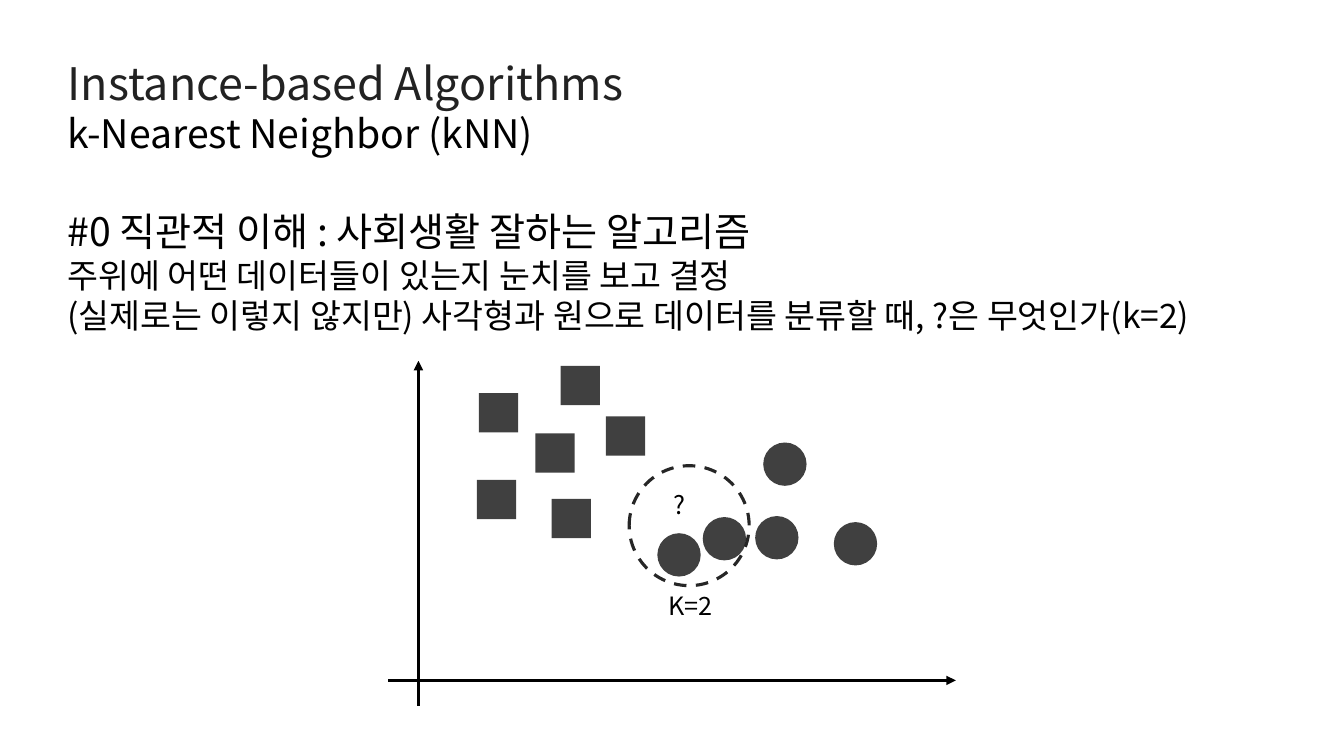
from typing import NamedTuple

import pptx
import pptx.dml.color
import pptx.enum.dml
import pptx.enum.shapes
import pptx.enum.text
import pptx.oxml
import pptx.oxml.ns
import pptx.util

FONT = "Noto Sans CJK KR"
COLORS = {"heading": "222222", "text": "000000", "axis": "000000",
          "sample": "404040", "neighborhood": "262626"}
SHAPES = pptx.enum.shapes.MSO_SHAPE
inches = pptx.util.Inches


class Line(NamedTuple):
    text: str
    size: int
    color: str = "text"


class Box(NamedTuple):
    left: float
    top: float
    width: float
    height: float


class Axis(NamedTuple):
    start: tuple[float, float]
    end: tuple[float, float]


class SampleClass(NamedTuple):
    outline: pptx.enum.shapes.MSO_SHAPE
    size: float
    corners: list[tuple[float, float]]


def rgb(role: str) -> pptx.dml.color.RGBColor:
    return pptx.dml.color.RGBColor.from_string(COLORS[role])


def write(holder, lines: list[Line], spacing: float = 1.0) -> None:
    frame = holder.text_frame
    frame.word_wrap = True
    frame.auto_size = pptx.enum.text.MSO_AUTO_SIZE.NONE
    frame.vertical_anchor = pptx.enum.text.MSO_ANCHOR.TOP
    frame.text = "\n".join(line.text for line in lines)
    for paragraph, line in zip(frame.paragraphs, lines):
        paragraph.alignment = pptx.enum.text.PP_ALIGN.LEFT
        paragraph.line_spacing = spacing
        paragraph.space_before = pptx.util.Pt(0)
        paragraph.font.name = FONT
        paragraph.font.size = pptx.util.Pt(line.size)
        paragraph.font.color.rgb = rgb(line.color)
        for run in paragraph.runs:
            east_asian = pptx.oxml.parse_xml(
                f'<a:ea {pptx.oxml.ns.nsdecls("a")} typeface="{FONT}"/>')
            run.font._element.append(east_asian)


def add_text(slide, box: Box, lines: list[Line], spacing: float = 1.0) -> None:
    write(slide.shapes.add_textbox(*map(inches, box)), lines, spacing)


def add_axis(slide, axis: Axis) -> None:
    arrow = slide.shapes.add_connector(
        pptx.enum.shapes.MSO_CONNECTOR.STRAIGHT, *map(inches, axis.start + axis.end))
    arrow.line.color.rgb = rgb("axis")
    arrow.line.width = pptx.util.Pt(2.25)
    namespace = pptx.oxml.ns.nsdecls("a")
    arrow.line._get_or_add_ln().append(
        pptx.oxml.parse_xml(f'<a:tailEnd {namespace} type="triangle"/>'))
    arrow._element.spPr.append(pptx.oxml.parse_xml(f"<a:effectLst {namespace}/>"))


def add_samples(slide, samples: SampleClass) -> None:
    for left, top in samples.corners:
        sample = slide.shapes.add_shape(
            samples.outline, *map(inches, (left, top, samples.size, samples.size)))
        sample.shadow.inherit = False
        sample.fill.solid()
        sample.fill.fore_color.rgb = rgb("sample")
        sample.line.fill.background()


def add_neighborhood(slide, box: Box) -> None:
    neighborhood = slide.shapes.add_shape(SHAPES.OVAL, *map(inches, box))
    neighborhood.shadow.inherit = False
    neighborhood.fill.background()
    neighborhood.line.color.rgb = rgb("neighborhood")
    neighborhood.line.width = pptx.util.Pt(2.25)
    neighborhood.line.dash_style = pptx.enum.dml.MSO_LINE.DASH


TITLE_BOX = Box(0.57, 0.5, 6.08, 1.11)
TITLE = [Line("Instance-based\u00a0Algorithms", 32, "heading"),
         Line("k-Nearest Neighbor (kNN) ", 28)]
EXPLANATION_BOX = Box(0.57, 2.01, 11.5, 1.38)
EXPLANATION = [
    Line("#0 직관적 이해 : 사회생활 잘하는 알고리즘", 28),
    Line("주위에 어떤 데이터들이 있는지 눈치를 보고 결정", 24),
    Line("(실제로는 이렇지 않지만) 사각형과 원으로 데이터를 분류할 때, ?은 무엇인가(k=2)", 24),
]
AXES = [Axis((3.85, 6.75), (9.48, 6.75)), Axis((4.15, 7), (4.15, 3.58))]
SAMPLE_CLASSES = [
    SampleClass(SHAPES.RECTANGLE, 0.39, [
        (4.75, 3.9), (5.56, 3.63), (4.73, 4.76), (5.31, 4.3), (6.01, 4.13), (5.47, 4.95)]),
    SampleClass(SHAPES.OVAL, 0.43, [
        (6.97, 5.13), (8.27, 5.18), (7.49, 5.12), (7.57, 4.39), (6.52, 5.29)]),
]
LABELS = [(Box(6.58, 4.81, 0.34, 0.4), "?"), (Box(6.53, 5.81, 0.72, 0.4), "K=2")]

deck = pptx.Presentation()
deck.slide_width, deck.slide_height = inches(13.33), inches(7.5)
knn = deck.slides.add_slide(deck.slide_layouts[5])

title = knn.shapes.title
title.left, title.top, title.width, title.height = map(inches, TITLE_BOX)
write(title, TITLE)
add_text(knn, EXPLANATION_BOX, EXPLANATION)
for axis in AXES:
    add_axis(knn, axis)
for samples in SAMPLE_CLASSES:
    add_samples(knn, samples)
add_neighborhood(knn, Box(6.24, 4.62, 1.19, 1.19))
for box, label in LABELS:
    add_text(knn, box, [Line(label, 18)])

deck.save("out.pptx")
